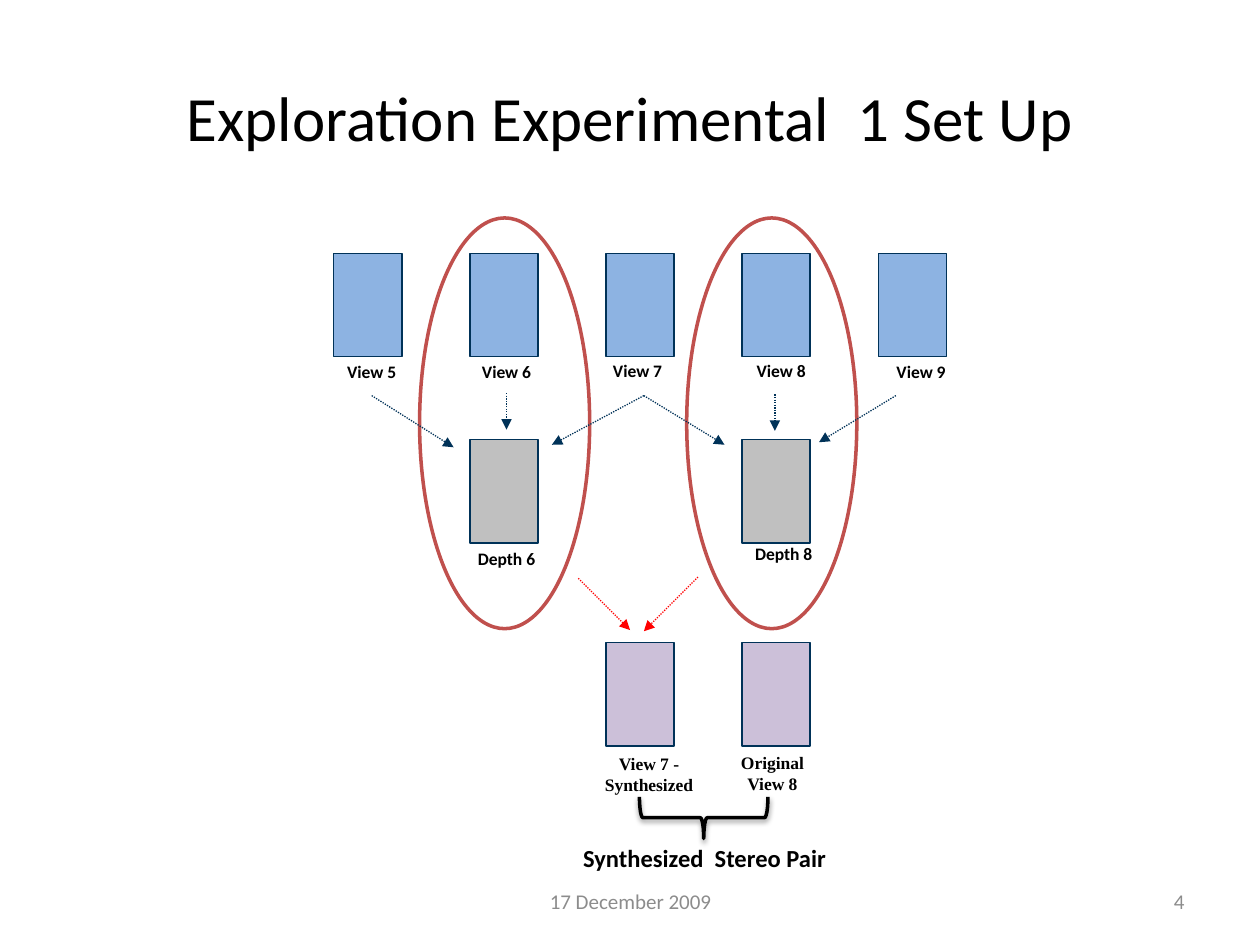
"""Build the view and depth set-up slide of the exploration experiment."""
from lxml import etree
from pptx import Presentation
from pptx.dml.color import RGBColor
from pptx.enum import dml, shapes, text
from pptx.oxml import ns
from pptx.util import Inches, Pt

HUE = dict(view="8DB3E2", depth="C0C0C0", synth="CCC0D9", navy="003258",
           ring="C0504D", red="FF0000", black="000000", gray="8C8C8C")
SANS, SERIF = "Calibri", "Times New Roman"
MID, LEFT, RIGHT = text.PP_ALIGN.CENTER, text.PP_ALIGN.LEFT, text.PP_ALIGN.RIGHT
KIND = shapes.MSO_SHAPE

COL, STEP, WIDE, TALL = 2.65, 1.08, 0.54, 0.82
CARDS = [
    ("view", 2.01, range(5)),
    ("depth", 3.49, (1, 3)),
    ("synth", 5.1, (2, 3)),
]
RINGS = [3.33, 5.45]
LABELS = [
    ("View 5", 2.95, 2.82), ("View 6", 4.02, 2.82), ("View 7", 5.06, 2.81),
    ("View 8", 6.2, 2.81), ("View 9", 7.31, 2.82),
    ("Depth 6", 4.02, 4.3), ("Depth 8", 6.22, 4.26),
]
RESULTS = [("View 7 - Synthesized", 5.15, 5.93), ("Original View 8", 6.13, 5.92)]
ARROWS = [
    ("navy", 2.95, 3.14, 3.6, 3.55), ("navy", 4.02, 3.12, 4.02, 3.41),
    ("navy", 5.11, 3.14, 4.38, 3.53), ("navy", 5.11, 3.14, 5.75, 3.53),
    ("navy", 6.15, 3.13, 6.15, 3.42), ("navy", 7.11, 3.14, 6.5, 3.51),
    ("red", 4.59, 4.59, 5, 5), ("red", 5.54, 4.58, 5.11, 5.01),
]
NOTES = [
    ("Exploration Experimental  1 Set Up", (0.5, 0.3, 9, 1.25), 36, "black", MID, False),
    ("Synthesized  Stereo Pair", (4.53, 6.64, 2.4, 0.34), 14, "black", LEFT, True),
    ("17 December 2009", (3.42, 6.95, 3.17, 0.4), 12, "gray", MID, False),
    ("4", (7.17, 6.95, 2.33, 0.4), 12, "gray", RIGHT, False),
]


def rgb(name):
    return RGBColor.from_string(HUE[name])


def box(slide, words, area, size=10, hue="black", align=MID, bold=True,
        face=SANS, anchor=text.MSO_ANCHOR.MIDDLE):
    frame = slide.shapes.add_textbox(*map(Inches, area)).text_frame
    frame.word_wrap = True
    frame.vertical_anchor = anchor
    para = frame.paragraphs[0]
    para.text, para.alignment = words, align
    font = para.font
    font.name, font.size, font.bold = face, Pt(size), bold
    font.color.rgb = rgb(hue)


def form(slide, kind, area, line, width, fill=None):
    item = slide.shapes.add_shape(kind, *map(Inches, area))
    if fill:
        item.fill.solid()
        item.fill.fore_color.rgb = rgb(fill)
    else:
        item.fill.background()
    item.line.color.rgb = rgb(line)
    item.line.width = Pt(width)
    item.shadow.inherit = False
    return item


def arrow(slide, hue, *ends):
    item = slide.shapes.add_connector(shapes.MSO_CONNECTOR.STRAIGHT, *map(Inches, ends))
    item.line.color.rgb = rgb(hue)
    item.line.width = Pt(0.75)
    item.line.dash_style = dml.MSO_LINE.ROUND_DOT
    props = item._element.spPr
    etree.SubElement(props.find(ns.qn("a:ln")), ns.qn("a:tailEnd"), type="triangle")
    etree.SubElement(props, ns.qn("a:effectLst"))


def brace(slide):
    item = form(slide, KIND.RIGHT_BRACE, (5.42, 5.98, 0.33, 1.02), "black", 2)
    item.rotation = 90
    glow = etree.SubElement(
        item._element.spPr.find(ns.qn("a:effectLst")), ns.qn("a:outerShdw"),
        blurRad=str(Pt(3.1)), dist=str(Pt(1.6)), dir="5400000", rotWithShape="0")
    tint = etree.SubElement(glow, ns.qn("a:srgbClr"), val=HUE["black"])
    etree.SubElement(tint, ns.qn("a:alpha"), val="38000")


def main():
    deck = Presentation()
    deck.slide_width, deck.slide_height = Inches(10), Inches(7.5)
    slide = deck.slides.add_slide(deck.slide_layouts[6])
    for fill, top, cols in CARDS:
        for col in cols:
            area = (COL + col * STEP, top, WIDE, TALL)
            form(slide, KIND.RECTANGLE, area, "navy", 0.75, fill)
    for left in RINGS:
        form(slide, KIND.OVAL, (left, 1.73, 1.35, 3.26), "ring", 2)
    for ends in ARROWS:
        arrow(slide, *ends)
    brace(slide)
    for group, face, width, tall in ((LABELS, SANS, 1.2, 0.27), (RESULTS, SERIF, 1.02, 0.49)):
        for words, mid, top in group:
            box(slide, words, (mid - width / 2, top, width, tall), face=face,
                anchor=text.MSO_ANCHOR.TOP)
    for words, area, size, hue, align, bold in NOTES:
        box(slide, words, area, size, hue, align, bold)
    deck.save("out.pptx")


if __name__ == "__main__":
    main()
